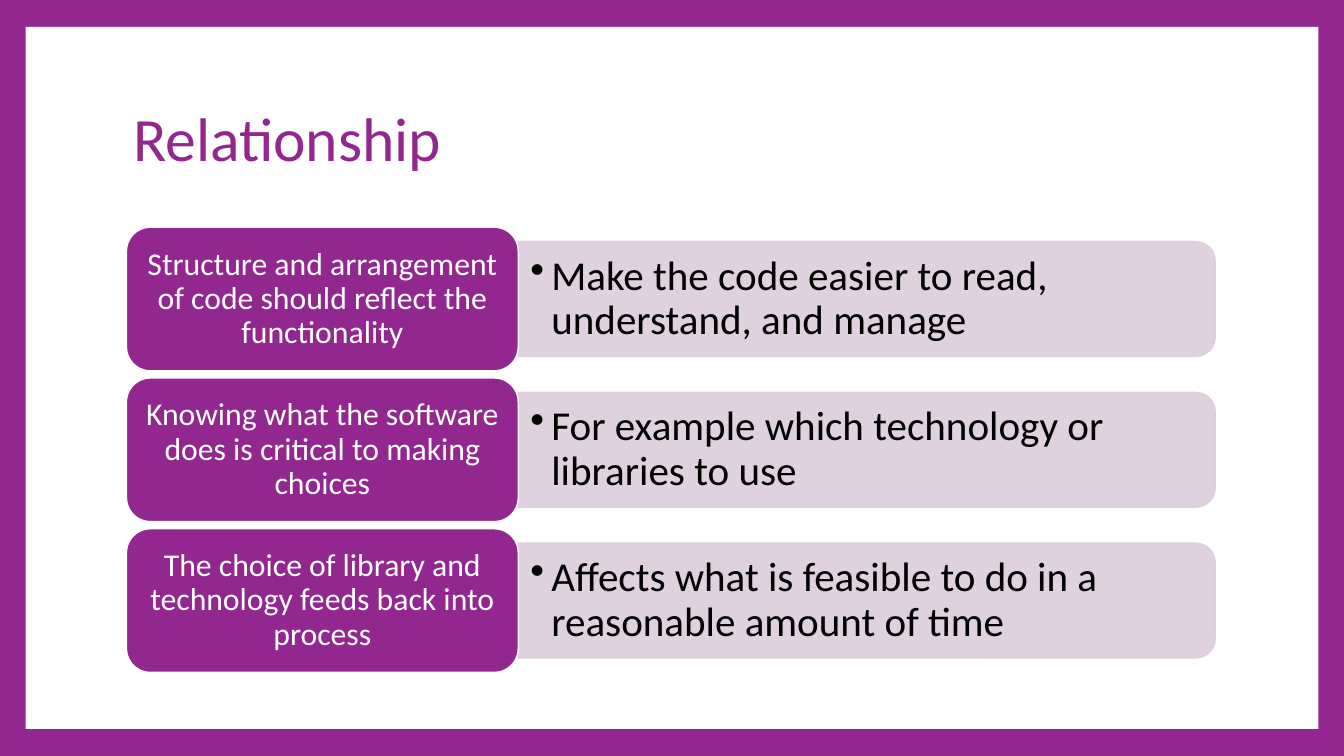
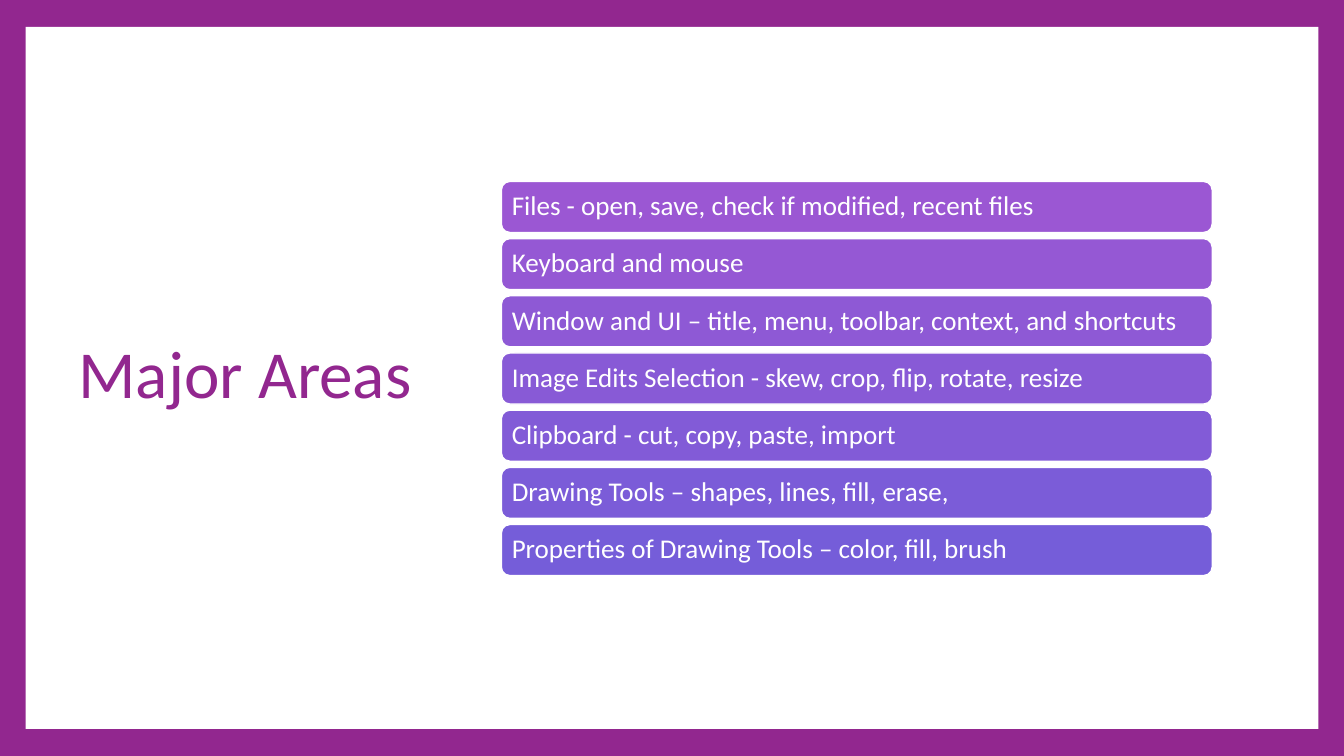
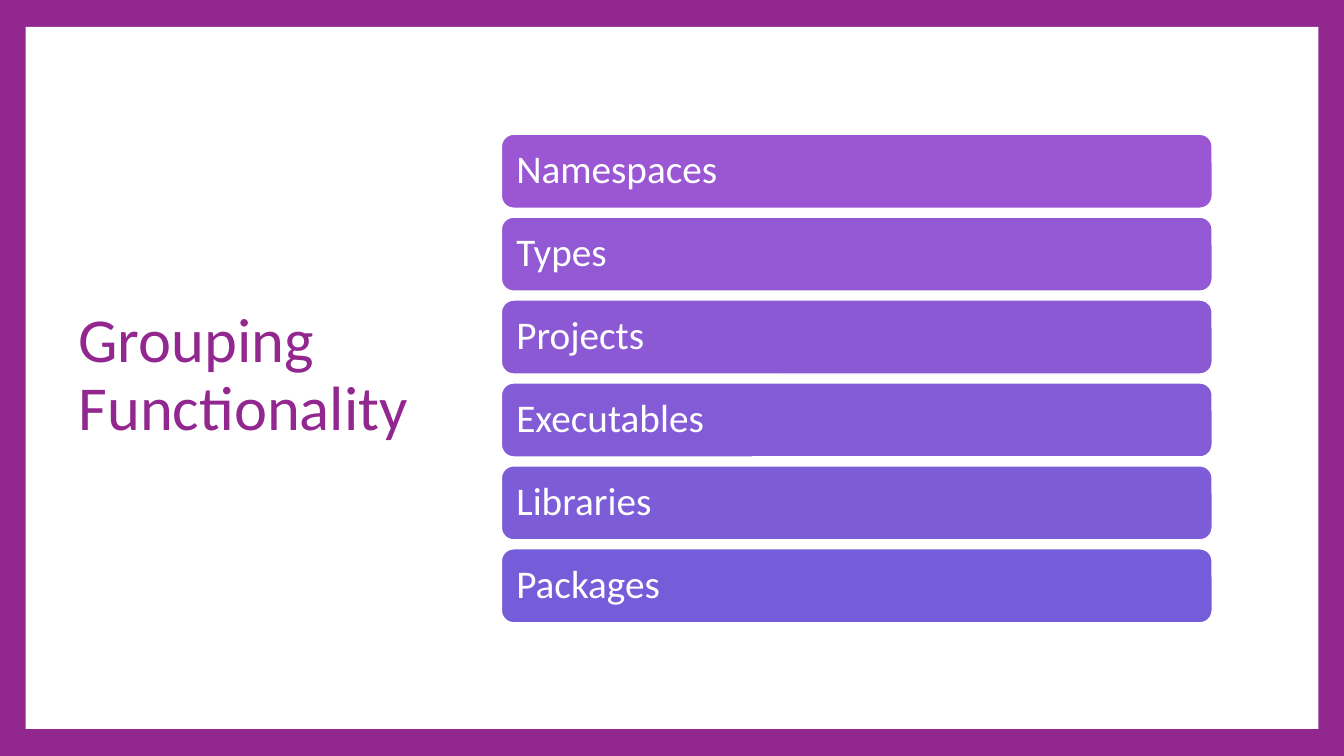
from lxml import etree
from pptx import Presentation
from pptx.dml.color import RGBColor
from pptx.enum.shapes import MSO_SHAPE
from pptx.enum.text import MSO_ANCHOR, MSO_AUTO_SIZE, PP_ALIGN
from pptx.oxml.ns import qn
from pptx.util import Cm, Pt

ROUND_RECT = MSO_SHAPE.ROUNDED_RECTANGLE
ROUND_TOP = MSO_SHAPE.ROUND_2_SAME_RECTANGLE
RECT = MSO_SHAPE.RECTANGLE
MIDDLE = MSO_ANCHOR.MIDDLE
NO_FIT = MSO_AUTO_SIZE.NONE
LEFT, CENTER = PP_ALIGN.LEFT, PP_ALIGN.CENTER

PURPLE = RGBColor(0x92, 0x27, 0x8F)
PALE = RGBColor(0xDC, 0xCD, 0xDB)
ORCHID = RGBColor(0x9B, 0x57, 0xD3)
VIOLET = RGBColor(0x75, 0x5D, 0xD9)
WHITE = RGBColor(0xFF, 0xFF, 0xFF)
BLACK = RGBColor(0, 0, 0)
FONT = "Calibri"

WIDTH, HEIGHT = 50.8, 28.58
FRAME_X, FRAME_Y = 0.97, 1.02
TOP_TITLE = (4.78, 2.54, 41.15, 5.66)
SIDE_TITLE = (2.72, 2.54, 14.02, 23.37)
STACK_X, STACK_W = 18.95, 26.87
GAP_RATIO = 0.12

RELATIONSHIPS = [
    ("Structure and arrangement of code should reflect the functionality",
     "Make the code easier to read, understand, and manage"),
    ("Knowing what the software does is critical to making choices",
     "For example which technology or libraries to use"),
    ("The choice of library and technology feeds back into process",
     "Affects what is feasible to do in a reasonable amount of time"),
]
AREAS = [
    "Files - open, save, check if modified, recent files",
    "Keyboard and mouse",
    "Window and UI – title, menu, toolbar, context, and shortcuts",
    "Image Edits Selection - skew, crop, flip, rotate, resize",
    "Clipboard - cut, copy, paste, import",
    "Drawing Tools – shapes, lines, fill, erase,",
    "Properties of Drawing Tools – color, fill, brush",
]
GROUPINGS = ["Namespaces", "Types", "Projects", "Executables", "Libraries", "Packages"]


def write(sp, text, size, color=WHITE, align=LEFT, inset=(0.25, 0.13), bullet=None):
    tf = sp.text_frame
    tf.word_wrap = True
    tf.auto_size = NO_FIT
    tf.vertical_anchor = MIDDLE
    tf.margin_left = tf.margin_right = Cm(inset[0])
    tf.margin_top = tf.margin_bottom = Cm(inset[1])
    p = tf.paragraphs[0]
    p.alignment = align
    p.line_spacing = 0.9
    if bullet:
        pPr = p._p.get_or_add_pPr()
        pPr.set("marL", str(Cm(0.79)))
        pPr.set("indent", str(-Cm(0.79)))
        etree.SubElement(pPr, qn("a:buChar")).set("char", bullet)
    r = p.add_run()
    r.text = text
    r.font.name = FONT
    r.font.size = Pt(size)
    r.font.color.rgb = color


def add_box(s, kind, x, y, w, h, fill, line=None):
    sp = s.shapes.add_shape(kind, Cm(x), Cm(y), Cm(w), Cm(h))
    sp.shadow.inherit = False
    sp.fill.solid()
    sp.fill.fore_color.rgb = fill
    if line is None:
        sp.line.fill.background()
    else:
        sp.line.color.rgb = line
        sp.line.width = Pt(1.5)
    return sp


def set_opacity(sp, percent):
    for color in sp.element.spPr.iter(qn("a:srgbClr")):
        etree.SubElement(color, qn("a:alpha")).set("val", str(percent * 1000))


def set_master(prs, s):
    master = prs.slide_master
    master.background.fill.solid()
    master.background.fill.fore_color.rgb = PURPLE
    frame = add_box(s, RECT, FRAME_X, FRAME_Y,
                    WIDTH - 2 * FRAME_X, HEIGHT - 2 * FRAME_Y, WHITE)
    frame.element.nvSpPr.cNvPr.set("id", "20")
    master.shapes.element.insert(2, frame.element)


def add_title(s, text, box, size):
    title = s.shapes.title
    title.left, title.top, title.width, title.height = map(Cm, box)
    write(title, text, size, PURPLE)


def add_relationship(s, x, y, w, h, label, detail):
    label_w, bar_h, text_h = 14.81, 4.34, 3.91
    bar_x, bar_w = x + label_w, w - label_w
    mid_x, mid_y = bar_x + bar_w / 2, y + h / 2
    bar = add_box(s, ROUND_TOP, mid_x - bar_h / 2, mid_y - bar_w / 2,
                  bar_h, bar_w, PALE, PALE)
    bar.rotation = 90
    set_opacity(bar, 90)
    tb = s.shapes.add_textbox(Cm(bar_x), Cm(mid_y - text_h / 2),
                              Cm(bar_w - 0.22), Cm(text_h))
    write(tb, detail, 44, BLACK, inset=(0.46, 0.23), bullet="•")
    name = add_box(s, ROUND_RECT, x, y, label_w, h, PURPLE, WHITE)
    write(name, label, 34, align=CENTER, inset=(0.36, 0.18))


def add_stack(s, x, y, w, h, items, size, inset):
    n = len(items)
    bar_h = h / (n + (n - 1) * GAP_RATIO)
    for i, item in enumerate(items):
        t = i / (n - 1)
        color = RGBColor(*(round(a + (b - a) * t) for a, b in zip(ORCHID, VIOLET)))
        bar = add_box(s, ROUND_RECT, x, y + i * bar_h * (1 + GAP_RATIO),
                      w, bar_h, color, WHITE)
        write(bar, item, size, inset=(inset, inset))


def relationship_slide(s):
    add_title(s, "Relationship", TOP_TITLE, 66)
    for i, (label, detail) in enumerate(RELATIONSHIPS):
        add_relationship(s, 4.78, 8.59 + i * 5.7, 41.15, 5.43, label, detail)


def stack_slide(s, title, title_size, items, height, size, inset):
    add_title(s, title, SIDE_TITLE, title_size)
    add_stack(s, STACK_X, (HEIGHT - height) / 2 + 0.02, STACK_W, height,
              items, size, inset)


def main():
    prs = Presentation()
    prs.slide_width, prs.slide_height = Cm(WIDTH), Cm(HEIGHT)
    title_only = prs.slide_layouts[5]
    slides = [prs.slides.add_slide(title_only) for _ in range(3)]
    set_master(prs, slides[0])
    relationship_slide(slides[0])
    stack_slide(slides[1], "Major Areas", 72, AREAS, 14.9, 29, 0.3)
    stack_slide(slides[2], "Grouping Functionality", 67, GROUPINGS, 18.47, 42, 0.43)
    prs.save("out.pptx")


if __name__ == "__main__":
    main()
